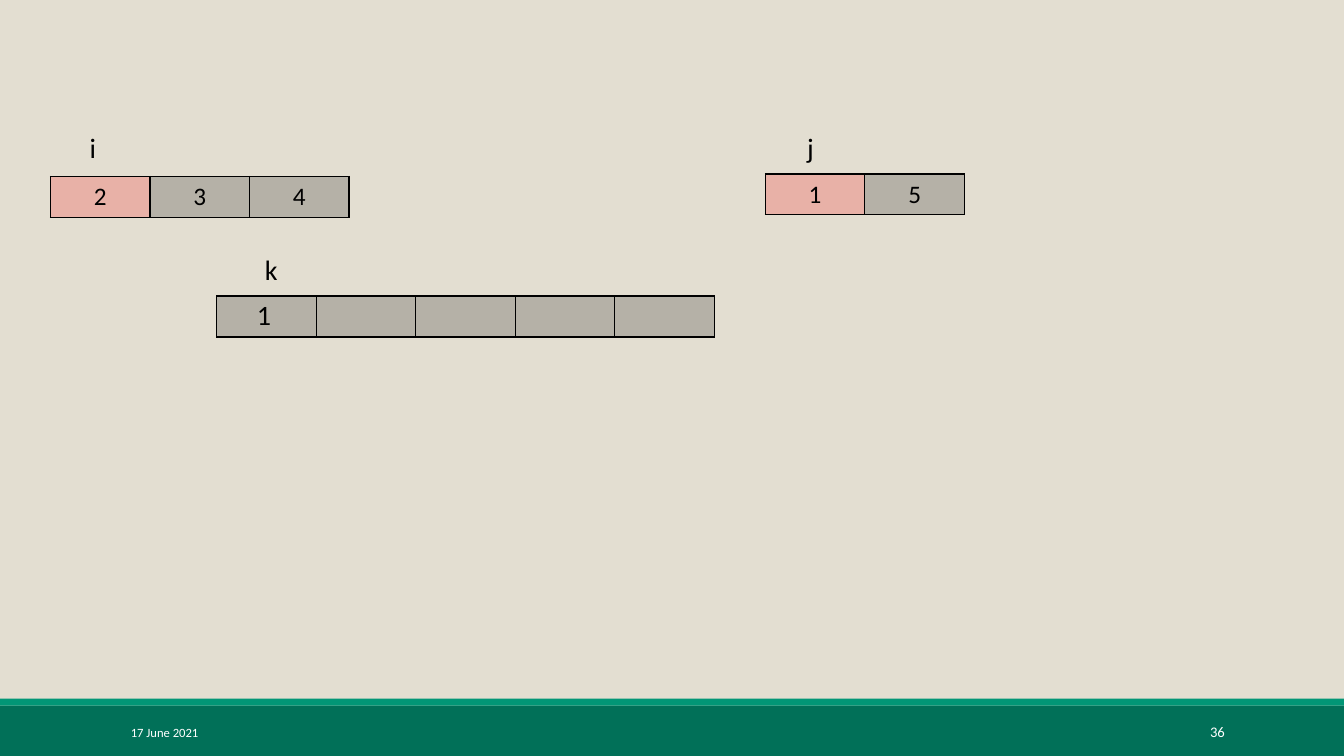
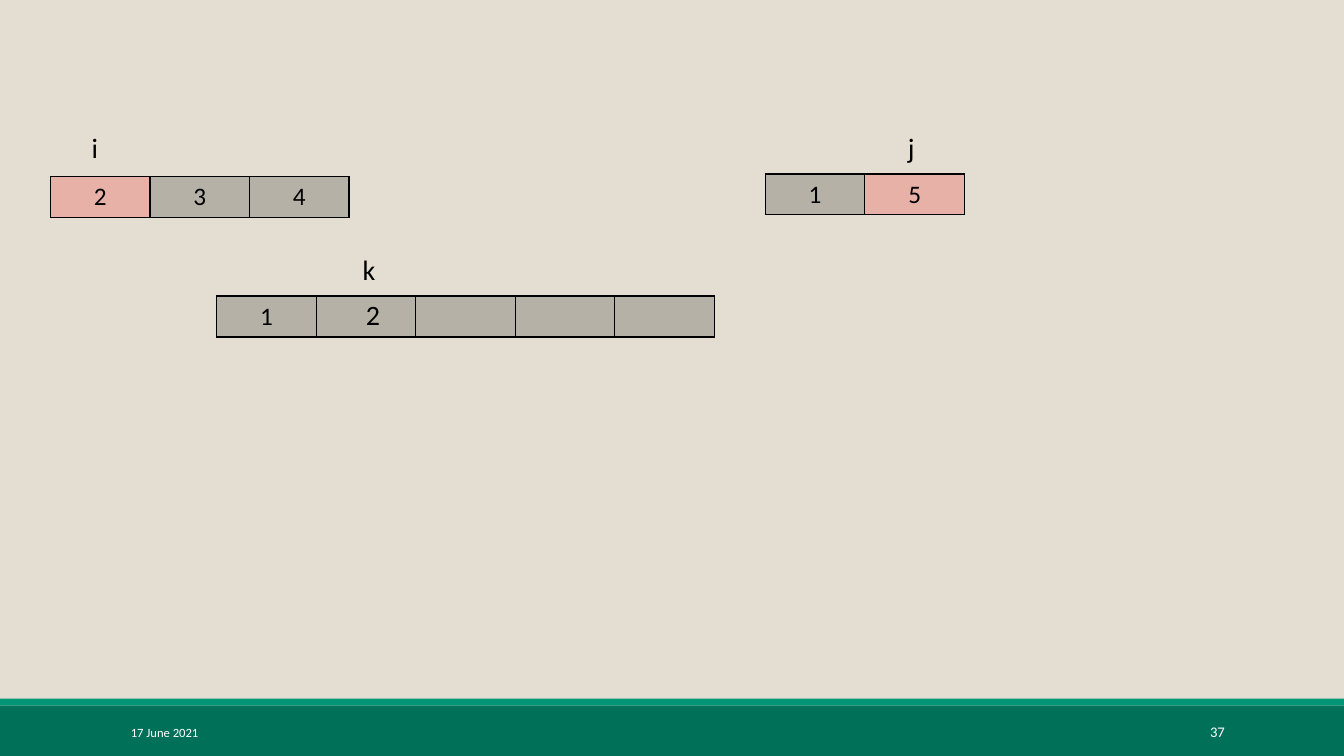
from dataclasses import dataclass

from lxml.etree import SubElement
from pptx import Presentation
from pptx.dml.color import RGBColor
from pptx.enum.shapes import MSO_SHAPE
from pptx.enum.text import MSO_ANCHOR, MSO_AUTO_SIZE, PP_ALIGN
from pptx.oxml.ns import qn
from pptx.presentation import Presentation as Deck
from pptx.slide import Slide
from pptx.table import _Cell
from pptx.text.text import _Paragraph
from pptx.util import Pt

RECTANGLE = MSO_SHAPE.RECTANGLE
TOP, MIDDLE = MSO_ANCHOR.TOP, MSO_ANCHOR.MIDDLE
FIT_SHAPE, FIXED = MSO_AUTO_SIZE.SHAPE_TO_FIT_TEXT, MSO_AUTO_SIZE.NONE
LEFT, CENTER, RIGHT = PP_ALIGN.LEFT, PP_ALIGN.CENTER, PP_ALIGN.RIGHT

SAND = RGBColor(0xE3, 0xDE, 0xD1)
DARK_GREEN = RGBColor(0x01, 0x70, 0x58)
GREEN = RGBColor(0x02, 0x96, 0x76)
WHITE = RGBColor(0xFF, 0xFF, 0xFF)
BLACK = RGBColor(0x00, 0x00, 0x00)
RED = RGBColor(0xFF, 0x00, 0x00)

FONT = "Calibri"
PAGE_WIDTH, PAGE_HEIGHT = 960, 540
CELL_WIDTH, CELL_HEIGHT = 71.1, 29.2
CELL_OPACITY = 20
BORDER_SIDES = ("a:lnL", "a:lnR", "a:lnT", "a:lnB")
DATE = "17 June 2021"


@dataclass(frozen=True)
class Band:
    top: float
    height: float
    color: RGBColor


@dataclass(frozen=True)
class Label:
    text: str
    left: float
    top: float
    width: float = 55.4
    height: float = 31.5
    size: float = 20
    color: RGBColor = BLACK
    align: PP_ALIGN = LEFT
    anchor: MSO_ANCHOR = TOP
    fit: MSO_AUTO_SIZE = FIT_SHAPE


@dataclass(frozen=True)
class Array:
    left: float
    top: float
    values: tuple[str, ...]
    current: int | None = None


@dataclass(frozen=True)
class Step:
    number: int
    arrays: tuple[Array, ...]
    labels: tuple[Label, ...]


BANDS = (Band(504, 36, DARK_GREEN), Band(499, 5, GREEN))
POINTER_TOP, MERGED_POINTER_TOP, MERGED_VALUE_TOP = 90, 177.1, 208.8
VALUE_WIDTH = 33.8


def left_array(current: int) -> Array:
    return Array(36, 126, ("2", "3", "4"), current)


def right_array(current: int) -> Array:
    return Array(546.7, 124.3, ("1", "5"), current)


def merged_array(first: str) -> Array:
    return Array(154.8, 211.5, (first, "", "", "", ""))


STEPS = (
    Step(
        36,
        (merged_array(""), left_array(0), right_array(0)),
        (
            Label("i", 56.9, POINTER_TOP),
            Label("j", 569.5, POINTER_TOP),
            Label("k", 182.2, MERGED_POINTER_TOP),
            Label("1", 176.4, MERGED_VALUE_TOP, VALUE_WIDTH),
        ),
    ),
    Step(
        37,
        (merged_array("1"), left_array(0), right_array(1)),
        (
            Label("j", 641.5, POINTER_TOP),
            Label("2", 254.2, MERGED_VALUE_TOP, VALUE_WIDTH),
            Label("k", 252, MERGED_POINTER_TOP),
            Label("i", 58.3, POINTER_TOP),
        ),
    ),
)


def write(para: _Paragraph, text: str, size: float, color: RGBColor, align: PP_ALIGN) -> None:
    para.alignment = align
    span = para.add_run()
    span.text = text
    for name, value in {"name": FONT, "size": Pt(size)}.items():
        setattr(span.font, name, value)
    span.font.color.rgb = color


def add_band(page: Slide, band: Band) -> None:
    shape = page.shapes.add_shape(RECTANGLE, 0, Pt(band.top), Pt(PAGE_WIDTH), Pt(band.height))
    shape.shadow.inherit = False
    shape.fill.solid()
    shape.fill.fore_color.rgb = band.color
    shape.line.fill.background()


def add_label(page: Slide, label: Label) -> None:
    box = page.shapes.add_textbox(Pt(label.left), Pt(label.top), Pt(label.width), Pt(label.height))
    frame = box.text_frame
    frame_format = {"word_wrap": True, "auto_size": label.fit, "vertical_anchor": label.anchor}
    for name, value in frame_format.items():
        setattr(frame, name, value)
    write(frame.paragraphs[0], label.text, label.size, label.color, label.align)


def style_cell(cell: _Cell, color: RGBColor) -> None:
    properties = cell._tc.get_or_add_tcPr()
    for side in BORDER_SIDES:
        border = SubElement(properties, qn(side), w=str(Pt(1)))
        border_fill = SubElement(border, qn("a:solidFill"))
        SubElement(border_fill, qn("a:srgbClr"), val=str(BLACK))
    cell.fill.solid()
    cell.fill.fore_color.rgb = color
    fill_color = properties.find(qn("a:solidFill")).find(qn("a:srgbClr"))
    SubElement(fill_color, qn("a:alpha"), val=str(CELL_OPACITY * 1000))


def add_array(page: Slide, array: Array) -> None:
    count = len(array.values)
    table = page.shapes.add_table(
        1, count, Pt(array.left), Pt(array.top), Pt(count * CELL_WIDTH), Pt(CELL_HEIGHT)
    ).table
    for name in ("first_row", "horz_banding"):
        setattr(table, name, False)
    for index, value in enumerate(array.values):
        table.columns[index].width = Pt(CELL_WIDTH)
        cell = table.cell(0, index)
        style_cell(cell, RED if index == array.current else BLACK)
        if value:
            write(cell.text_frame.paragraphs[0], value, 18, BLACK, CENTER)


def add_footer(page: Slide, number: int) -> None:
    for band in BANDS:
        add_band(page, band)
    shared = {"top": 508.5, "height": 28.8, "color": WHITE, "anchor": MIDDLE, "fit": FIXED}
    add_label(page, Label(DATE, left=86.4, width=194.4, size=9, **shared))
    add_label(page, Label(str(number), left=779, width=103, size=10.5, align=RIGHT, **shared))


def add_step(deck: Deck, step: Step) -> None:
    page = deck.slides.add_slide(deck.slide_layouts[6])
    add_footer(page, step.number)
    for array in step.arrays:
        add_array(page, array)
    for label in step.labels:
        add_label(page, label)


def main() -> None:
    deck = Presentation()
    deck.slide_width, deck.slide_height = Pt(PAGE_WIDTH), Pt(PAGE_HEIGHT)
    background = deck.slide_master.background.fill
    background.solid()
    background.fore_color.rgb = SAND
    for step in STEPS:
        add_step(deck, step)
    deck.save("out.pptx")


if __name__ == "__main__":
    main()
